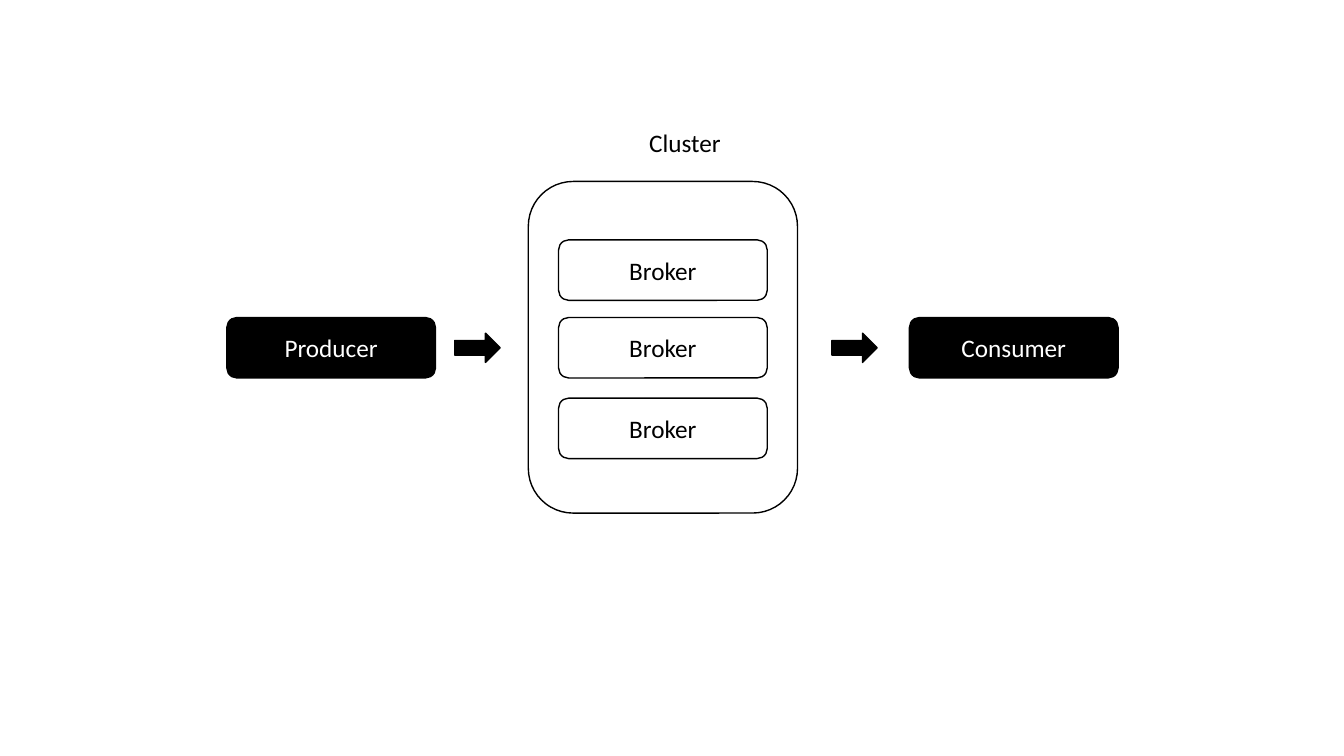
"""Build a slide of a producer, a cluster of brokers and a consumer."""
from pptx import Presentation
from pptx.dml.color import RGBColor
from pptx.enum.shapes import MSO_SHAPE
from pptx.enum.text import MSO_ANCHOR, MSO_AUTO_SIZE, PP_ALIGN
from pptx.util import Inches, Pt

BLACK, WHITE = "000000", "FFFFFF"
ROUND, ARROW = MSO_SHAPE.ROUNDED_RECTANGLE, MSO_SHAPE.RIGHT_ARROW
MID = 3.45
BOX = (2.07, 0.6)
HEAD = (0.45, 0.29)
FRAME = (5.24, 1.8, 2.67, 3.29)
ENDS = [("Producer", 2.25), ("Consumer", 9.02)]
ARROWS = [4.51, 8.25]
BROKERS = [("Broker", 2.38), ("Broker", 3.15), ("Broker", 3.95)]
LABEL = ("Cluster", 6.34, 1.21, 0.92, 0.4)


def color(code):
    return RGBColor.from_string(code)


def write(shape, text, ink):
    para = shape.text_frame.paragraphs[0]
    para.text = text
    para.font.name = "Calibri"
    para.font.size = Pt(18)
    para.font.color.rgb = color(ink)
    return para


def draw(slide, kind, area, fill, text="", ink=BLACK):
    shape = slide.shapes.add_shape(kind, *map(Inches, area))
    shape.shadow.inherit = False
    shape.fill.solid()
    shape.fill.fore_color.rgb = color(fill)
    shape.line.color.rgb = color(BLACK)
    shape.line.width = Pt(1)
    if text:
        shape.text_frame.vertical_anchor = MSO_ANCHOR.MIDDLE
        write(shape, text, ink).alignment = PP_ALIGN.CENTER


def label(slide, text, *area):
    box = slide.shapes.add_textbox(*map(Inches, area))
    box.text_frame.word_wrap = False
    box.text_frame.auto_size = MSO_AUTO_SIZE.SHAPE_TO_FIT_TEXT
    write(box, text, BLACK).alignment = PP_ALIGN.LEFT


def main():
    deck = Presentation()
    deck.slide_width, deck.slide_height = Inches(13.33), Inches(7.5)
    slide = deck.slides.add_slide(deck.slide_layouts[6])
    draw(slide, ROUND, FRAME, WHITE)
    for text, left in ENDS:
        draw(slide, ROUND, (left, MID - BOX[1] / 2, *BOX), BLACK, text, WHITE)
    for left in ARROWS:
        draw(slide, ARROW, (left, MID - HEAD[1] / 2, *HEAD), BLACK)
    inner = FRAME[0] + (FRAME[2] - BOX[0]) / 2
    for text, top in BROKERS:
        draw(slide, ROUND, (inner, top, *BOX), WHITE, text)
    label(slide, *LABEL)
    deck.save("out.pptx")


if __name__ == "__main__":
    main()
